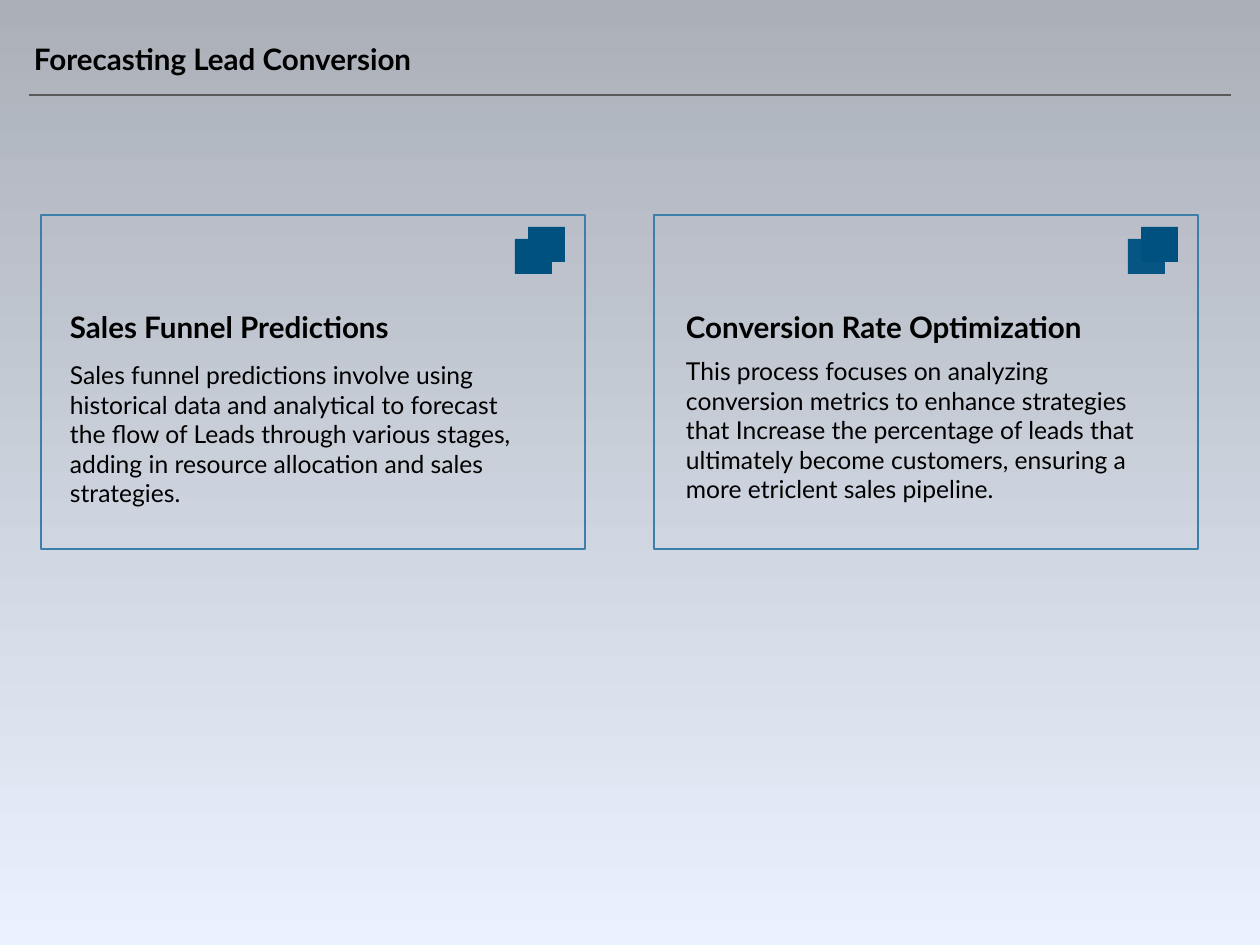
from lxml.etree import SubElement
from pptx import Presentation
from pptx.dml.color import RGBColor as RGB
from pptx.enum.shapes import MSO_CONNECTOR as Link, MSO_SHAPE as Shape
from pptx.enum.text import MSO_ANCHOR as Anchor, MSO_AUTO_SIZE as Fit, PP_ALIGN as Align
from pptx.oxml.ns import qn
from pptx.util import Pt

PX = 10320  # EMU per px
THEME = {
    "font": "Lato", "head": Pt(24), "body": Pt(20),
    "text": RGB.from_string("000000"), "rule": RGB.from_string("595959"),
    "edge": RGB.from_string("3C80AA"), "icon": RGB.from_string("005180"),
    "top": RGB.from_string("AAAFB8"), "base": RGB.from_string("EBF2FF"),
}


def write(holder, text, box, size, bold=False):
    """Place a placeholder and give it one plain, unbulleted paragraph."""
    holder.left, holder.top, holder.width, holder.height = (n * PX for n in box)
    frame = holder.text_frame
    frame.text = text
    frame.word_wrap = True
    frame.auto_size = Fit.NONE
    frame.vertical_anchor = Anchor.MIDDLE
    frame.margin_left = frame.margin_right = 5 * PX
    frame.margin_top = frame.margin_bottom = 5 * PX
    para = frame.paragraphs[0]
    props = para._p.get_or_add_pPr()
    props.set("marL", "0")
    props.set("indent", "0")
    SubElement(props, qn("a:buNone"))
    para.alignment = Align.LEFT
    para.space_before = Pt(0)
    font = para.font
    font.name, font.size, font.bold = THEME["font"], size, bold
    font.color.rgb = THEME["text"]


def add_rect(x, y, w, h):
    rect = slide.shapes.add_shape(Shape.RECTANGLE, x * PX, y * PX, w * PX, h * PX)
    rect.shadow.inherit = False
    return rect


deck = Presentation()
deck.slide_width, deck.slide_height = 1260 * PX, 945 * PX
slide = deck.slides.add_slide(deck.slide_layouts.get_by_name("Comparison"))
slots = {slot.placeholder_format.idx: slot for slot in slide.placeholders}

# Background, title and rule
back = slide.background.fill
back.gradient()
back.gradient_angle = 270
for stop, tone in zip(back.gradient_stops, ("top", "base")):
    stop.color.rgb = THEME[tone]

write(slots[0], "Forecasting Lead Conversion", (29, 36, 556, 45), THEME["head"], True)
rule = slide.shapes.add_connector(Link.STRAIGHT, 29 * PX, 95 * PX, 1231 * PX, 95 * PX)
rule.line.color.rgb = THEME["rule"]
rule.line.width = Pt(2)
SubElement(rule._element.spPr, qn("a:effectLst"))

# Cards: left edge, text left, body top, opacity of the front square, heading, body
cards = [
    (41, 65, 352, 100, "Sales Funnel Predictions",
     "Sales funnel predictions involve using historical data and analytical to "
     "forecast the flow of Leads through various stages, adding in resource "
     "allocation and sales strategies."),
    (654, 681, 348, 96, "Conversion Rate Optimization",
     "This process focuses on analyzing conversion metrics to enhance strategies "
     "that Increase the percentage of leads that ultimately become customers, "
     "ensuring a more etriclent sales pipeline."),
]
for i, (left, inner, top, solid, head, body) in enumerate(cards):
    card = add_rect(left, 215, 544, 334)
    card.fill.background()
    card.line.color.rgb = THEME["edge"]
    card.line.width = Pt(1)

    for dx, y, alpha in ((487, 227, 100), (474, 239, solid)):
        icon = add_rect(left + dx, y, 37, 35)
        icon.fill.solid()
        icon.fill.fore_color.rgb = THEME["icon"]
        icon.line.fill.background()
        if alpha < 100:
            tone = icon._element.spPr.find(qn("a:solidFill"))[0]
            SubElement(tone, qn("a:alpha"), val=str(alpha * 1000))

    write(slots[2 * i + 1], head, (inner, 300, 425, 53), THEME["head"], True)
    write(slots[2 * i + 2], body, (inner, top, 458, 164), THEME["body"])

deck.save("out.pptx")
